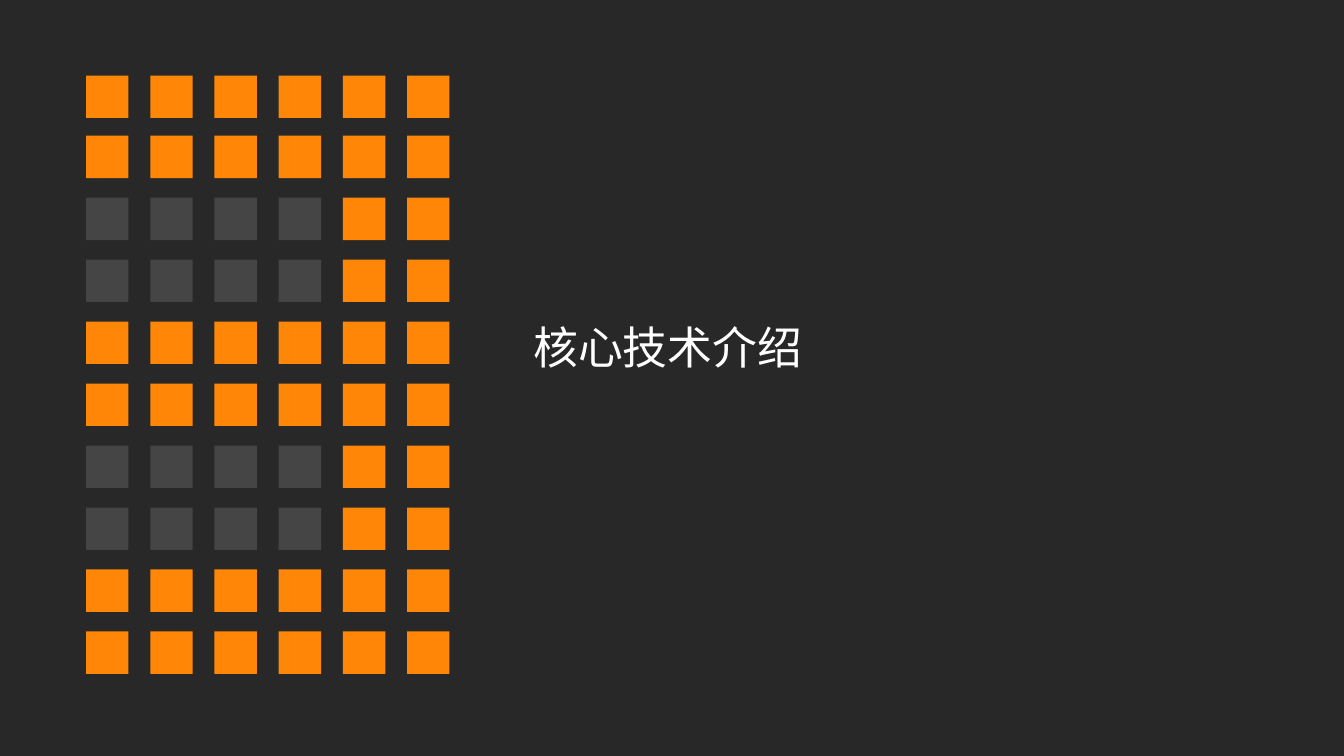
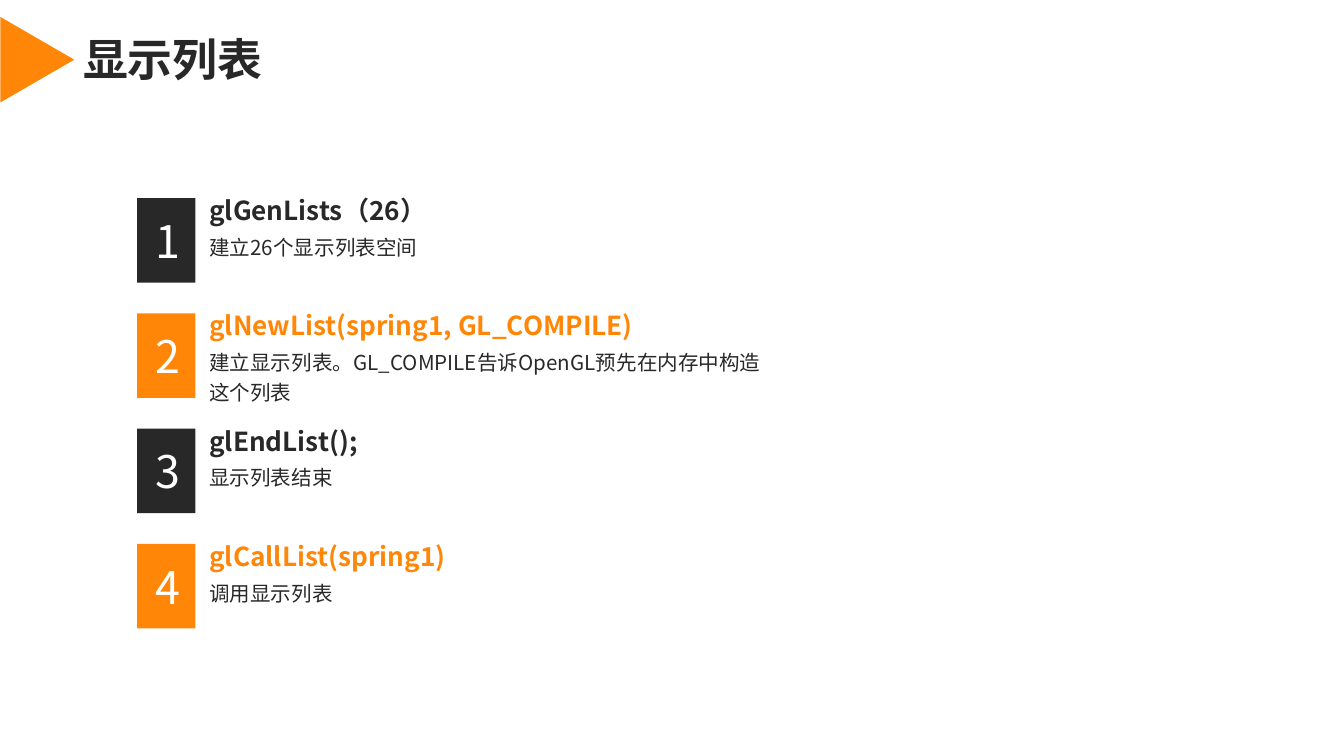
from pptx import Presentation
from pptx.dml.color import RGBColor
from pptx.enum.shapes import MSO_SHAPE
from pptx.enum.text import MSO_AUTO_SIZE, PP_ALIGN
from pptx.oxml.ns import qn
from pptx.util import Pt
from lxml import etree

RECT, TRI = MSO_SHAPE.RECTANGLE, MSO_SHAPE.ISOSCELES_TRIANGLE
GROW, MID = MSO_AUTO_SIZE.SHAPE_TO_FIT_TEXT, PP_ALIGN.CENTER
DARK, GREY, GOLD, WHITE = "282828", "454545", "FF8607", "FFFFFF"
SANS, SLIM = "Noto Sans CJK SC", "Arial Narrow"
WIDE, HIGH = 720, 405

# Text formats
TITLE = {"name": SLIM, "size": Pt(24), "bold": True}
BIG = {"name": SANS, "size": Pt(24)}
HEAD = {"name": SANS, "size": Pt(14), "bold": True}
BODY = {"name": SANS, "size": Pt(11)}

STEPS = [
    ("glGenLists（26）", "建立26个显示列表空间", 24),
    ("glNewList(spring1, GL_COMPILE)",
     "建立显示列表。GL_COMPILE告诉OpenGL预先在内存中构造这个列表", 40),
    ("glEndList();", "显示列表结束", 24),
    ("glCallList(spring1)", "调用显示列表", 24),
]


def tint(code):
    return RGBColor.from_string(code)


def put_shape(slide, kind, box, fill):
    shape = slide.shapes.add_shape(kind, *map(Pt, box))
    shape.shadow.inherit = False
    shape.fill.solid()
    shape.fill.fore_color.rgb = tint(fill)
    shape.line.fill.background()
    return shape


def put_text(slide, box, words, style, ink, wrap=True, **para):
    frame = slide.shapes.add_textbox(*map(Pt, box)).text_frame
    frame.word_wrap = wrap
    frame.auto_size = GROW
    line = frame.paragraphs[0]
    for key, value in para.items():
        setattr(line, key, value)
    run = line.add_run()
    run.text = words
    for key, value in style.items():
        setattr(run.font, key, value)
    run.font.color.rgb = tint(ink)
    # East Asian typeface
    etree.SubElement(run.font._element, qn("a:ea"), typeface=SANS)


def draw_digit(slide, left, top):
    """Grid of squares whose gold cells form a 3."""
    size, across, down = 22.7, 34.4, 33.2
    for row in range(10):
        # The first gap is one point tighter than the rest
        y = top + down * row - (1 if row else 0)
        for col in range(6):
            gap = row in (2, 3, 6, 7) and col < 4
            put_shape(slide, RECT, (left + across * col, y, size, size),
                      GREY if gap else GOLD)


def draw_title(slide, words):
    mark = put_shape(slide, TRI, (-2.9, 12.2, 45.8, 39.6), GOLD)
    mark.rotation = 90
    put_text(slide, (37.4, 13.7, 111.6, 36), words, TITLE, DARK, wrap=False)


def draw_step(slide, left, top, number, step):
    head, body, tall = step
    color = GOLD if number % 2 == 0 else DARK
    # Number tile
    put_shape(slide, RECT, (left, top, 31.2, 45.3), color)
    put_text(slide, (left + 2, top + 4.6, 28.8, 36.7), str(number), BIG,
             WHITE, wrap=False, alignment=MID)
    # Call and its meaning
    put_text(slide, (left + 31.5, top - 5.6, 244, 24.5), head, HEAD, color)
    put_text(slide, (left + 31.5, top + 13.3, 317.5, tall), body, BODY, DARK,
             line_spacing=Pt(16))


def section(slide):
    put_shape(slide, RECT, (0, 0, WIDE, HIGH), DARK)
    draw_digit(slide, 46.1, 40.5)
    put_text(slide, (278.6, 167.8, 442.8, 36.7), "核心技术介绍", BIG, WHITE)


def content(slide):
    draw_title(slide, "显示列表")
    for i, step in enumerate(STEPS):
        draw_step(slide, 73.5, 106.2 + 61.75 * i, i + 1, step)


def main():
    deck = Presentation()
    deck.slide_width, deck.slide_height = Pt(WIDE), Pt(HIGH)
    for build in (section, content):
        build(deck.slides.add_slide(deck.slide_layouts[6]))
    deck.save("out.pptx")


if __name__ == "__main__":
    main()
